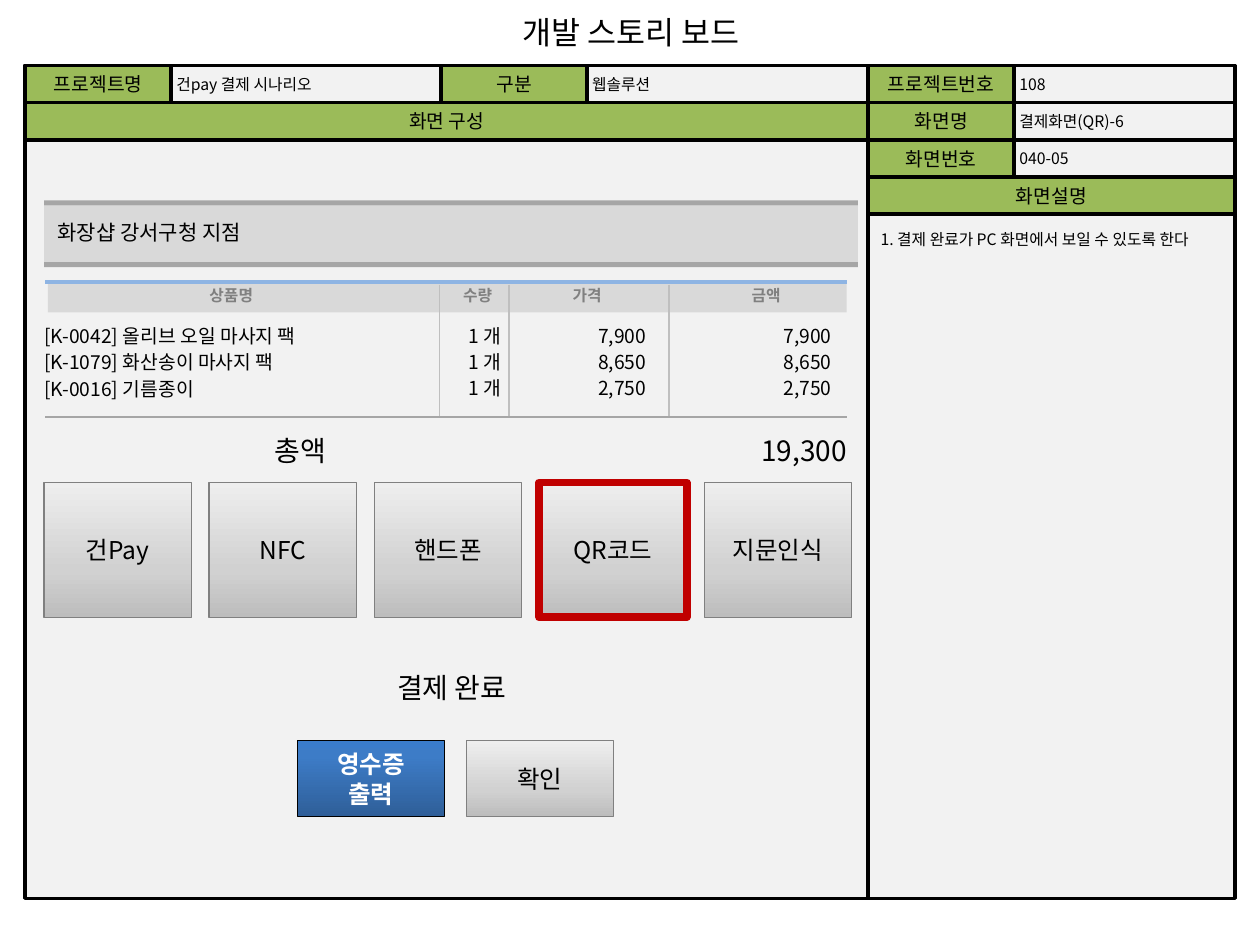
import copy

import pptx
import pptx.dml.color
import pptx.enum.shapes
import pptx.enum.text
import pptx.oxml
import pptx.oxml.ns
import pptx.util

FONT = "Noto Sans CJK KR"
COLORS = {
    "black": "000000", "white": "FFFFFF", "panel": "F2F2F2", "label": "9BBB59",
    "band": "D9D9D9", "edge": "A6A6A6", "accent": "8EB4E3", "divider": "BFBFBF",
    "heading": "808080", "selected": "C00000",
}
GRAY_GRADIENT = [(0, "BDBDBD"), (0.35, "D1D1D1"), (1, "EEEEEE")]
BLUE_GRADIENT = [(0, "2F5F99"), (0.8, "3D7CC7"), (1, "3A7CCB")]

# Storyboard frame: column edges and equal header rows
COLUMNS = [0.2, 1.36, 3.5, 4.66, 6.89, 8.05, 9.8]
TOP, ROW, BOTTOM = 0.52, 0.295, 7.13

LEFT = pptx.enum.text.PP_ALIGN.LEFT
CENTER = pptx.enum.text.PP_ALIGN.CENTER
RIGHT = pptx.enum.text.PP_ALIGN.RIGHT
ANCHOR_TOP = pptx.enum.text.MSO_ANCHOR.TOP
ANCHOR_MIDDLE = pptx.enum.text.MSO_ANCHOR.MIDDLE


def rgb(name):
    return pptx.dml.color.RGBColor.from_string(COLORS.get(name, name))


def inches(*lengths):
    return [pptx.util.Inches(length) for length in lengths]


def write(frame, text, size, color="black", align=LEFT, bold=False,
          anchor=ANCHOR_TOP, insets=(0.1, 0.05), wrap=True):
    """Fill a text frame; insets are horizontal and vertical."""
    frame.text = text
    frame.word_wrap = wrap
    frame.vertical_anchor = anchor
    frame.margin_left = frame.margin_right = pptx.util.Inches(insets[0])
    frame.margin_top = frame.margin_bottom = pptx.util.Inches(insets[1])
    for paragraph in frame.paragraphs:
        paragraph.alignment = align
        font = paragraph.font
        font.size = pptx.util.Pt(size)
        font.bold = bold
        font.color.rgb = rgb(color)
        font.name = FONT
        latin = paragraph._p.pPr.find(".//" + pptx.oxml.ns.qn("a:latin"))
        latin.addnext(pptx.oxml.parse_xml(
            f'<a:ea {pptx.oxml.ns.nsdecls("a")} typeface="{FONT}"/>'))


def add_box(slide, x, y, width, height, fill=None, line=None, weight=2):
    box = slide.shapes.add_shape(
        pptx.enum.shapes.MSO_SHAPE.RECTANGLE, *inches(x, y, width, height))
    box.shadow.inherit = False
    if fill:
        box.fill.solid()
        box.fill.fore_color.rgb = rgb(fill)
    if line:
        box.line.color.rgb = rgb(line)
        box.line.width = pptx.util.Pt(weight)
    else:
        box.line.fill.background()
    return box


def add_cell(slide, row, first, last, text, label=True):
    """A header cell between two column edges."""
    box = add_box(slide, COLUMNS[first], TOP + row * ROW,
                  COLUMNS[last] - COLUMNS[first], ROW,
                  "label" if label else "panel", "black")
    if label:
        write(box.text_frame, text, 11, align=CENTER, anchor=ANCHOR_MIDDLE)
    else:
        write(box.text_frame, text, 9, anchor=ANCHOR_MIDDLE, insets=(0.04, 0.04))


def add_text(slide, x, y, width, height, text, size, insets=(0, 0), **style):
    box = slide.shapes.add_textbox(*inches(x, y, width, height))
    write(box.text_frame, text, size, insets=insets, **style)


def add_rule(slide, x1, y1, x2, y2, color, weight):
    rule = slide.shapes.add_connector(
        pptx.enum.shapes.MSO_CONNECTOR.STRAIGHT, *inches(x1, y1, x2, y2))
    rule.line.color.rgb = rgb(color)
    rule.line.width = pptx.util.Pt(weight)
    rule._element.spPr.append(pptx.oxml.parse_xml(
        f'<a:effectLst {pptx.oxml.ns.nsdecls("a")}/>'))


def add_button(slide, x, y, height, text, gradient=GRAY_GRADIENT,
               line="heading", weight=0.75, color="black", bold=False):
    button = add_box(slide, x, y, 1.17, height, line=line, weight=weight)
    button.fill.gradient()
    button.fill.gradient_angle = 90
    first_stop = button.fill.gradient_stops[0]._gs
    first_stop.addnext(copy.deepcopy(first_stop))
    for stop, (position, shade) in zip(button.fill.gradient_stops, gradient):
        stop.position = position
        stop.color.rgb = rgb(shade)
    write(button.text_frame, text, 14, color, CENTER, bold, ANCHOR_MIDDLE)


def add_frame(slide):
    add_box(slide, COLUMNS[0], TOP, COLUMNS[-1] - COLUMNS[0], BOTTOM - TOP,
            "panel", "black")
    notes_top = TOP + 4 * ROW
    description = add_box(slide, COLUMNS[4], notes_top, COLUMNS[-1] - COLUMNS[4],
                          BOTTOM - notes_top, "panel", "black")
    write(description.text_frame, "1. 결제 완료가 PC 화면에서 보일 수 있도록 한다", 9)
    description.text_frame.paragraphs[0].line_spacing = 1.5

    for row, column, label, value in [
        (0, 0, "프로젝트명", "건pay 결제 시나리오"),
        (0, 2, "구분", "웹솔루션"),
        (0, 4, "프로젝트번호", "108"),
        (1, 4, "화면명", "결제화면(QR)-6"),
        (2, 4, "화면번호", "040-05"),
    ]:
        add_cell(slide, row, column, column + 1, label)
        add_cell(slide, row, column + 1, column + 2, value, label=False)
    add_cell(slide, 1, 0, 4, "화면 구성")
    add_cell(slide, 3, 4, 6, "화면설명")


def add_shop_banner(slide):
    add_box(slide, 0.35, 1.63, 6.46, 0.47, "band")
    for y in (1.59, 2.08):
        add_box(slide, 0.35, y, 6.46, 0.04, "edge")
    add_text(slide, 0.36, 1.69, 2.43, 0.31, "화장샵 강서구청 지점", 12,
             insets=(0.1, 0.05))


def add_order_list(slide):
    add_box(slide, 0.38, 2.25, 6.34, 0.23, "band")
    add_rule(slide, 0.36, 2.24, 6.72, 2.24, "accent", 2.25)
    for x, width, heading in [(1.46, 0.75, "상품명"), (3.57, 0.44, "수량"),
                              (4.33, 0.66, "가격"), (5.74, 0.68, "금액")]:
        add_text(slide, x, 2.27, width, 0.19, heading, 9, color="heading",
                 align=CENTER, bold=True)
    for x in (3.49, 4.04, 5.31):
        add_rule(slide, x, 2.26, x, 3.3, "divider", 0.75)
    add_rule(slide, 0.36, 3.31, 6.72, 3.31, "edge", 1.5)

    for index, (product, price) in enumerate([
        ("[K-0042] 올리브 오일 마사지 팩", "7,900"),
        ("[K-1079] 화산송이 마사지 팩", "8,650"),
        ("[K-0016] 기름종이", "2,750"),
    ]):
        y = 2.57 + 0.21 * index
        add_text(slide, 0.35, y, 2.44, 0.19, product, 11, anchor=ANCHOR_MIDDLE)
        for x, width, value in [(3.48, 0.5, "1 개"), (4.32, 0.81, price),
                                (5.79, 0.81, price)]:
            add_text(slide, x, y, width, 0.14, value, 11, align=RIGHT)
    add_text(slide, 0.59, 3.44, 3.59, 0.31, "총액", 16, align=CENTER)
    add_text(slide, 4.66, 3.44, 2.06, 0.31, "19,300", 16, align=RIGHT)


def add_payment_controls(slide):
    selected = "QR코드"
    for index, method in enumerate(["건Pay", "NFC", "핸드폰", selected, "지문인식"]):
        outline = ("selected", 4.5) if method == selected else ("heading", 0.75)
        add_button(slide, 0.35 + 1.31 * index, 3.83, 1.07, method,
                   line=outline[0], weight=outline[1])
    add_text(slide, 1.79, 5.32, 3.59, 0.31, "결제 완료", 16, align=CENTER)
    add_button(slide, 3.7, 5.88, 0.6, "확인")
    add_button(slide, 2.36, 5.88, 0.6, "영수증\n출력", BLUE_GRADIENT, "black",
               color="white", bold=True)


def main():
    deck = pptx.Presentation()
    deck.slide_width, deck.slide_height = inches(10, 7.5)
    slide = deck.slides.add_slide(deck.slide_layouts.get_by_name("Title Only"))
    title = slide.shapes.title
    title.left, title.top, title.width, title.height = inches(3.93, 0.05, 2.15, 0.4)
    write(title.text_frame, "개발 스토리 보드", 18, align=CENTER, wrap=False)
    add_frame(slide)
    add_shop_banner(slide)
    add_order_list(slide)
    add_payment_controls(slide)
    deck.save("out.pptx")


if __name__ == "__main__":
    main()
